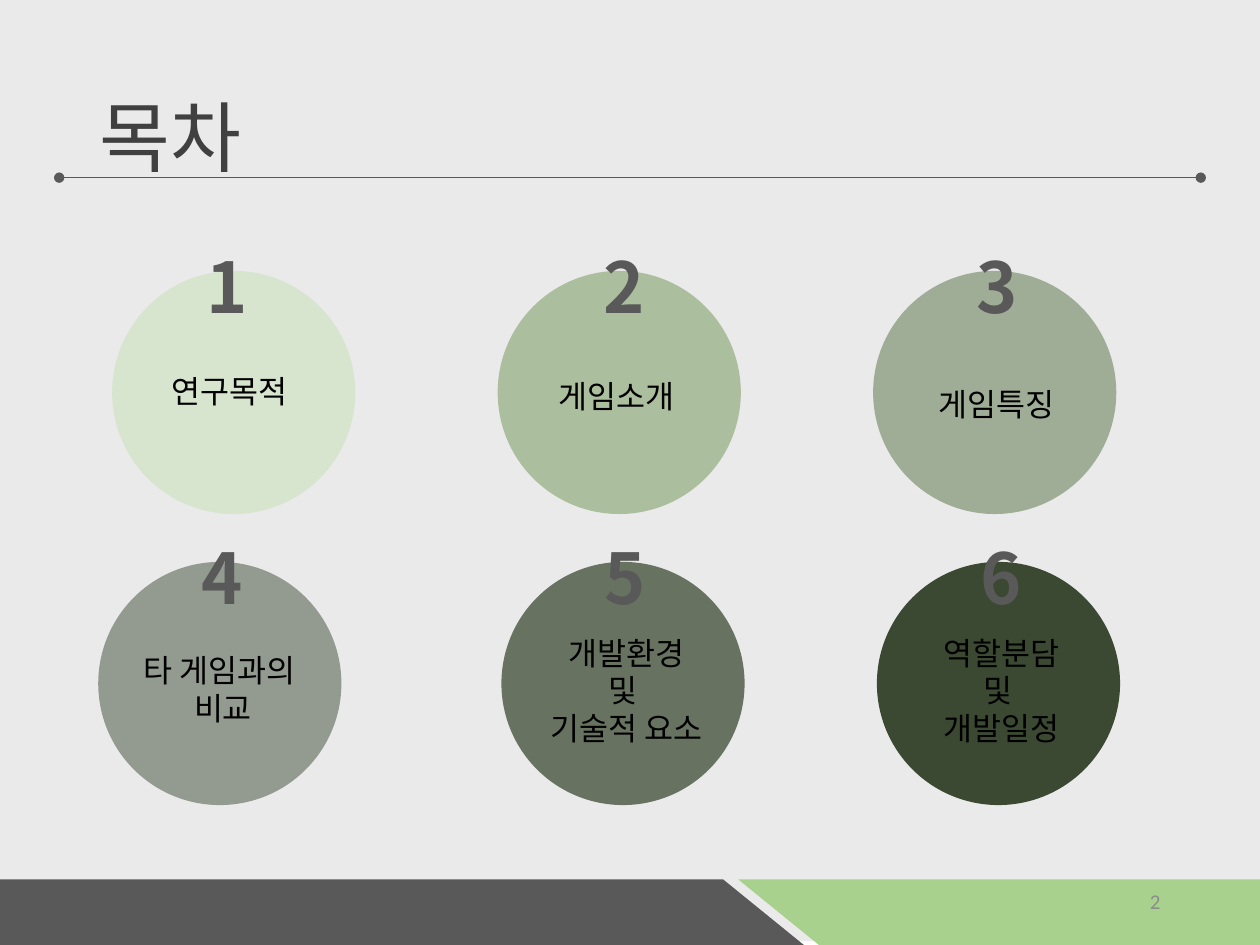
from dataclasses import dataclass

from lxml.etree import SubElement
from pptx import Presentation
from pptx.dml.color import RGBColor
from pptx.enum.shapes import MSO_CONNECTOR as Connector, MSO_SHAPE as Shape
from pptx.enum.text import MSO_ANCHOR as Anchor, MSO_AUTO_SIZE as AutoSize, PP_ALIGN as Align
from pptx.oxml.ns import qn
from pptx.util import Inches, Pt

WIDTH, HEIGHT = 10, 7.5
KOREAN_FONT = "Noto Sans CJK KR"
WHITE = RGBColor(0xFF, 0xFF, 0xFF)
PAPER = RGBColor(0xEA, 0xEA, 0xEA)
TITLE_GRAY = RGBColor(0x40, 0x40, 0x40)
DARK_GRAY = RGBColor(0x59, 0x59, 0x59)
PAGE_GRAY = RGBColor(0x8C, 0x8C, 0x8C)
BLACK = RGBColor(0, 0, 0)
LIGHT_GREEN = RGBColor(0xA9, 0xD1, 0x8E)
PALE_GREEN = RGBColor(0xC5, 0xE0, 0xB4)
MID_GREEN = RGBColor(0x54, 0x82, 0x35)
DEEP_GREEN = RGBColor(0x38, 0x57, 0x23)
BLACK_GREEN = RGBColor(0x1D, 0x2C, 0x12)

DIAMETER = 1.93
FIRST_ROW, ROW_PITCH = 2.15, 2.31
NUMBER_RISE = 0.27
NUMBER_SIZE = (0.63, 0.77)
LABEL_WIDTH = 2.04
LINE_HEIGHT = 0.3
BAND_TOP = 6.98


@dataclass(frozen=True)
class Topic:
    number: int
    row: int
    circle_left: float
    number_left: float
    label_left: float
    label_top: float
    lines: tuple[str, ...]
    color: RGBColor
    opacity: int


TOPICS = (
    Topic(1, 0, 0.89, 1.54, 0.8, 2.9, ("연구목적",), PALE_GREEN, 51),
    Topic(2, 0, 3.95, 4.69, 3.87, 2.94, ("게임소개",), MID_GREEN, 42),
    Topic(3, 0, 6.93, 7.65, 6.89, 3.01, ("게임특징",), DEEP_GREEN, 42),
    Topic(4, 1, 0.78, 1.5, 0.75, 5.12, ("타 게임과의 ", "비교"), BLACK_GREEN, 42),
    Topic(5, 1, 3.98, 4.7, 3.95, 4.98, ("개발환경", "및 ", "기술적 요소"), BLACK_GREEN, 63),
    Topic(6, 1, 6.96, 7.68, 6.93, 4.98, ("역할분담", "및 ", "개발일정"), BLACK_GREEN, 85),
)


def write_text(shape, lines: tuple[str, ...], *, size: float, color: RGBColor,
               font: str = KOREAN_FONT, bold: bool = False, align=Align.LEFT,
               anchor=Anchor.TOP, spacing: float = 1.0) -> None:
    frame = shape.text_frame
    frame.word_wrap = True
    frame.auto_size = AutoSize.NONE
    frame.vertical_anchor = anchor
    for index, line in enumerate(lines):
        paragraph = frame.add_paragraph() if index else frame.paragraphs[0]
        paragraph.alignment = align
        paragraph.line_spacing = spacing
        run = paragraph.add_run()
        run.text = line
        run.font.size = Pt(size)
        run.font.bold = bold
        run.font.color.rgb = color
        run.font.name = font
        SubElement(run.font._element, qn("a:ea"), typeface=font)


def add_text(shapes, box: tuple[float, ...], lines: tuple[str, ...], **text_format):
    textbox = shapes.add_textbox(*map(Inches, box))
    write_text(textbox, lines, **text_format)
    return textbox


def paint(shape, color: RGBColor, opacity: int = 100) -> None:
    shape.shadow.inherit = False
    shape.line.fill.background()
    shape.fill.solid()
    shape.fill.fore_color.rgb = color
    if opacity < 100:
        color_element = shape._element.spPr.find(f"{qn('a:solidFill')}/{qn('a:srgbClr')}")
        SubElement(color_element, qn("a:alpha"), val=str(opacity * 1000))


def add_band(shapes, points: tuple[tuple[float, float], ...], color: RGBColor) -> None:
    corners = [(Inches(x), Inches(y)) for x, y in points]
    builder = shapes.build_freeform(*corners[0])
    builder.add_line_segments(corners[1:], close=True)
    paint(builder.convert_to_shape(), color)


def add_title_rule(shapes, left: float, right: float, top: float) -> None:
    rule = shapes.add_connector(Connector.STRAIGHT, *map(Inches, (left, top, right, top)))
    rule.line.color.rgb = DARK_GRAY
    rule.line.width = Pt(0.5)
    for end in ("a:headEnd", "a:tailEnd"):
        SubElement(rule.line._ln, qn(end), type="oval")
    SubElement(rule._element.spPr, qn("a:effectLst"))


def add_topic(shapes, topic: Topic) -> None:
    group = shapes.add_group_shape().shapes
    top = FIRST_ROW + topic.row * ROW_PITCH
    circle = group.add_shape(
        Shape.OVAL, *map(Inches, (topic.circle_left, top, DIAMETER, DIAMETER)))
    paint(circle, topic.color, topic.opacity)
    add_text(group, (topic.number_left, top - NUMBER_RISE, *NUMBER_SIZE),
             (str(topic.number),), size=40, color=DARK_GRAY, bold=True)
    label_height = 0.1 + LINE_HEIGHT * len(topic.lines)
    add_text(group, (topic.label_left, topic.label_top, LABEL_WIDTH, label_height),
             topic.lines, size=18, color=BLACK, align=Align.CENTER)


def main() -> None:
    presentation = Presentation()
    presentation.slide_width, presentation.slide_height = Inches(WIDTH), Inches(HEIGHT)
    slide = presentation.slides.add_slide(presentation.slide_layouts[5])
    slide.background.fill.solid()
    slide.background.fill.fore_color.rgb = WHITE
    shapes = slide.shapes

    title = shapes.title
    title.left, title.top, title.width, title.height = map(Inches, (0.69, 0.4, 8.62, 1.45))
    write_text(title, ("목차",), size=44, color=TITLE_GRAY, anchor=Anchor.MIDDLE, spacing=0.9)

    paper = shapes.add_shape(Shape.RECTANGLE, 0, 0, Inches(WIDTH), Inches(HEIGHT - 0.03))
    paint(paper, PAPER)
    title._element.addprevious(paper._element)

    add_band(shapes, ((0, BAND_TOP), (5.74, BAND_TOP), (6.38, HEIGHT), (0, HEIGHT)), DARK_GRAY)
    add_title_rule(shapes, 0.47, 9.53, 1.41)
    add_band(shapes, ((5.86, BAND_TOP), (WIDTH, BAND_TOP), (WIDTH, HEIGHT), (6.5, HEIGHT)),
             LIGHT_GREEN)
    for topic in TOPICS:
        add_topic(shapes, topic)
    add_text(shapes, (7.06, 6.95, 2.25, 0.4), ("2",), size=12, color=PAGE_GRAY,
             font="Calibri", align=Align.RIGHT, anchor=Anchor.MIDDLE)
    presentation.save("out.pptx")


if __name__ == "__main__":
    main()
